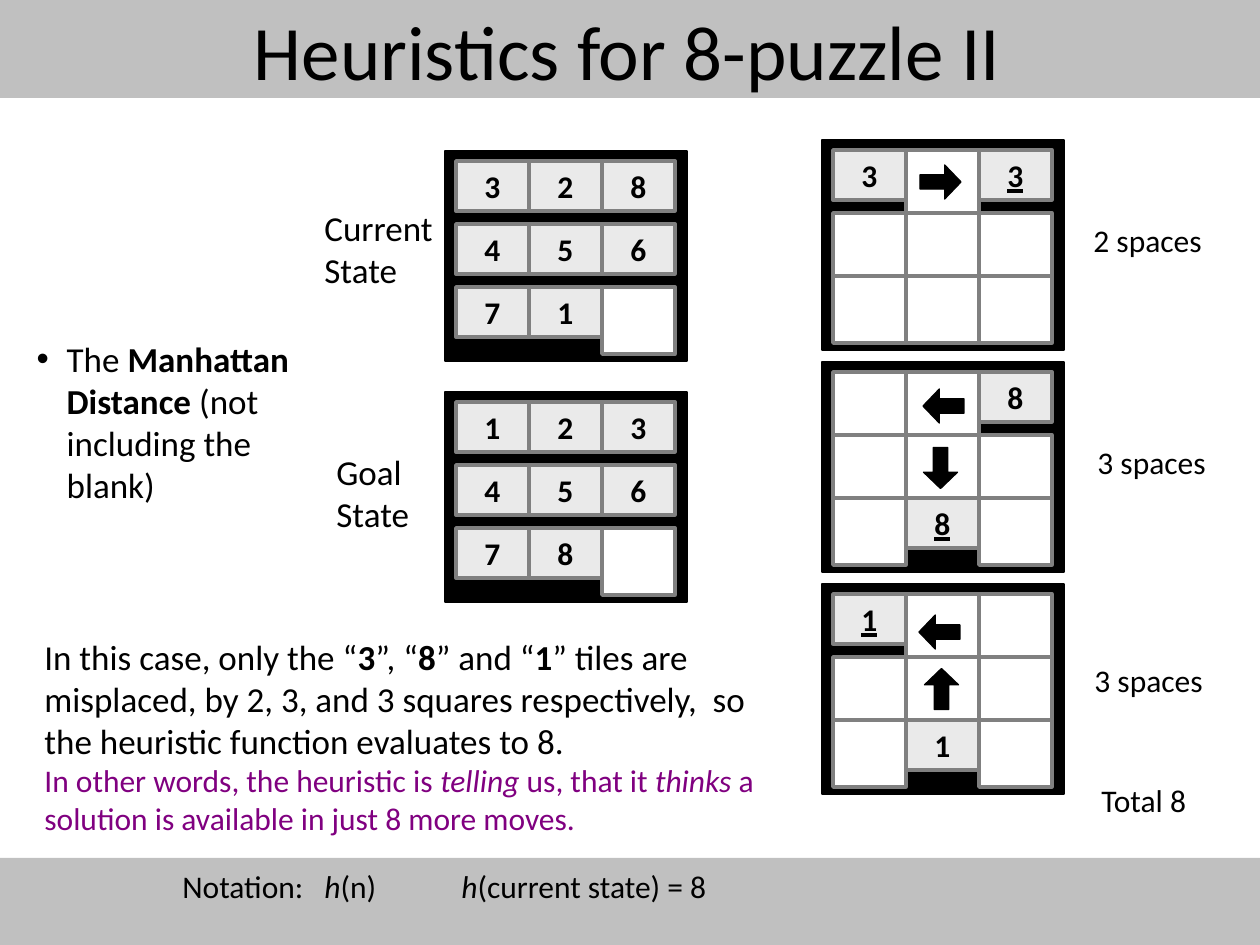
from lxml import etree
from pptx import Presentation
from pptx import util as u
from pptx.dml.color import RGBColor
from pptx.enum import shapes, text
from pptx.oxml.ns import qn

PX = 914400 / 126
FONT = "Calibri"
BLACK, WHITE, GREY = "000000", "FFFFFF", "C0C0C0"
TILE, EDGE, PURPLE = "EAEAEA", "808080", "800080"
COL, ROW = 73, 63  # pitch of the puzzle cells


def px(n):
    return u.Emu(round(n * PX))


def color(code):
    return RGBColor.from_string(code)


def place(item, x, y, w, h):
    item.left, item.top, item.width, item.height = map(px, (x, y, w, h))


def shape(host, kind, box, fill, edge=None, width=0.75):
    item = host.add_shape(kind, *map(px, box))
    item.shadow.inherit = False
    item.fill.solid()
    item.fill.fore_color.rgb = color(fill)
    if edge:
        item.line.color.rgb = color(edge)
        item.line.width = u.Pt(width)
    else:
        item.line.fill.background()
    return item


def rect(host, box, fill, edge=None, width=0.75):
    return shape(host, shapes.MSO_SHAPE.RECTANGLE, box, fill, edge, width)


def style(para, size, code=BLACK, bold=None):
    font = para.font
    font.name, font.size, font.bold = FONT, u.Pt(size), bold
    font.color.rgb = color(code)


def write(para, parts, size, code=BLACK):
    """Fill a paragraph; a part starting with * is bold, with / italic."""
    style(para, size, code)
    for part in parts:
        run = para.add_run()
        run.text = part.lstrip("*/")
        if part[0] == "*":
            run.font.bold = True
        elif part[0] == "/":
            run.font.italic = True


def label(slide, box, parts, size, wrap=True):
    frame = slide.shapes.add_textbox(*map(px, box)).text_frame
    frame.word_wrap = wrap
    write(frame.paragraphs[0], parts, size)
    return frame


def tabs(para, *stops):
    stop_list = etree.Element(qn("a:tabLst"))
    for stop in stops:
        etree.SubElement(stop_list, qn("a:tab"), pos=str(px(stop)), algn="l")
    para._p.get_or_add_pPr().insert(0, stop_list)


def board(host, x, y, rows):
    """Draw a puzzle: . is an empty cell, _ underlines the tile's goal."""
    rect(host, (x, y, 242, 210), BLACK, BLACK)
    for r, row in enumerate(rows):
        for c, mark in enumerate(row.split()):
            left, top = x + 11 + c * COL, y + 10 + r * ROW
            if mark == ".":
                rect(host, (left, top, COL, 67), WHITE, EDGE, 2)
                continue
            frame = rect(host, (left, top, COL, 50), TILE, EDGE, 2).text_frame
            frame.vertical_anchor = text.MSO_ANCHOR.TOP
            para = frame.paragraphs[0]
            para.text = mark.strip("_")
            para.alignment = text.PP_ALIGN.CENTER
            style(para, 18, bold=True)
            if "_" in mark:
                para.font.underline = True


def arrow(slide, x, y, turn):
    kind = shapes.MSO_SHAPE.RIGHT_ARROW
    item = shape(slide.shapes, kind, (x, y, 41, 34), BLACK, BLACK)
    item.adjustments[0], item.adjustments[1] = 0.42, 0.48
    item.rotation = turn


def heading(slide):
    bar = rect(slide.shapes, (0, 0, 1260, 98), GREY)
    slide.shapes._spTree.insert(2, bar._element)  # behind the title
    title = slide.shapes.title
    place(title, 92, -29, 1071, 158)
    frame = title.text_frame
    frame.vertical_anchor = text.MSO_ANCHOR.MIDDLE
    frame.paragraphs[0].alignment = text.PP_ALIGN.CENTER
    write(frame.paragraphs[0], ["Heuristics for 8-puzzle II"], 44)


def bullet(slide):
    body = slide.placeholders[1]
    place(body, 24, 331, 291, 181)
    body.text_frame.auto_size = text.MSO_AUTO_SIZE.NONE
    para = body.text_frame.paragraphs[0]
    para.space_before = u.Pt(0)
    props = para._p.get_or_add_pPr()
    props.set("marL", str(px(30)))
    props.set("indent", str(px(-30)))
    write(para, ["The ", "*Manhattan Distance", " (not including the blank)"], 20)


def main():
    deck = Presentation()
    deck.slide_width, deck.slide_height = px(1260), px(945)
    slide = deck.slides.add_slide(deck.slide_layouts[1])
    heading(slide)
    bullet(slide)

    # Explanation
    frame = label(slide, (32, 629, 764, 214), [
        "In this case, only the “", "*3", "”, “", "*8", "” and “", "*1",
        "” tiles are misplaced, by 2, 3, and 3 squares respectively,  so "
        "the heuristic function evaluates to 8."], 20)
    write(frame.add_paragraph(), [
        "In other words, the heuristic is ", "/telling", " us, that it ",
        "/thinks", " a solution is available in just 8 more moves."],
        18, PURPLE)

    # Current and goal states
    states = [(151, ["3 2 8", "4 5 6", "7 1 ."]),
              (392, ["1 2 3", "4 5 6", "7 8 ."])]
    for y, rows in states:
        board(slide.shapes.add_group_shape().shapes, 445, y, rows)
    label(slide, (312, 200, 164, 97), ["Current State"], 20)
    label(slide, (324, 444, 146, 97), ["Goal State"], 20)

    # Moves of each misplaced tile
    moves = [["3 . 3_", ". . .", ". . ."],
             [". . 8", ". . .", ". 8_ ."],
             ["1_ . .", ". . .", ". 1 ."]]
    for i, rows in enumerate(moves):
        board(slide.shapes, 822, 140 + 222 * i, rows)
    for spot in [(920, 165, 0), (923, 389, 180), (920, 451, 90),
                 (919, 615, 180), (921, 672, 270)]:
        arrow(slide, *spot)

    # Distances
    for x, y, w, words in [(1081, 215, 134, "2 spaces"),
                           (1085, 437, 134, "3 spaces"),
                           (1082, 655, 134, "3 spaces"),
                           (1089, 775, 113, "Total 8")]:
        label(slide, (x, y, w, 50), [words], 18, wrap=False)

    # Notation footer
    rect(slide.shapes, (0, 858, 1260, 87), GREY)
    frame = label(slide, (170, 861, 560, 50), [
        "Notation:\t", "/h", "(n)\t", "/h", "(current state) = 8"], 18)
    tabs(frame.paragraphs[0], 142, 279)

    deck.save("out.pptx")


if __name__ == "__main__":
    main()
